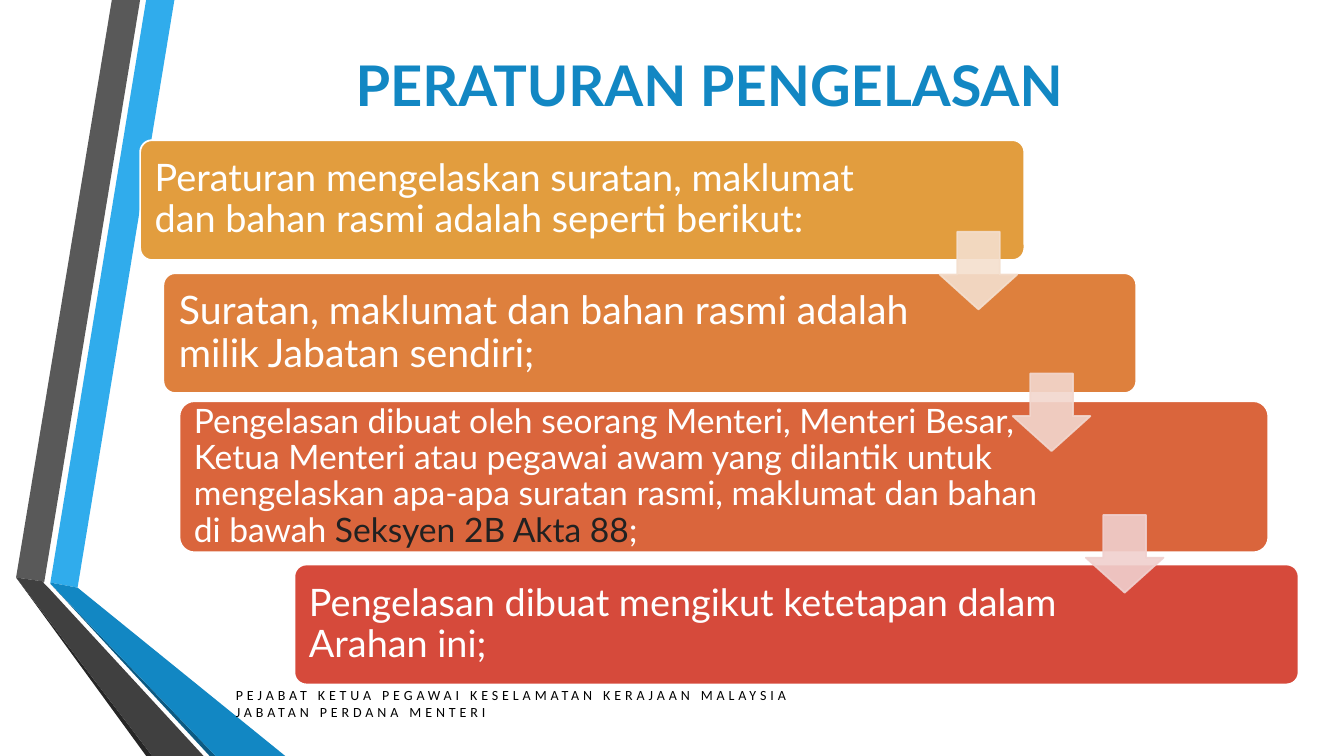
from dataclasses import dataclass

from lxml.etree import SubElement
from pptx import Presentation
from pptx.dml.color import RGBColor
from pptx.enum.shapes import MSO_SHAPE
from pptx.enum.text import MSO_ANCHOR, MSO_AUTO_SIZE, PP_ALIGN
from pptx.oxml.ns import qn
from pptx.util import Inches, Pt


@dataclass(frozen=True)
class Theme:
    """Colours, fonts and type sizes of the slide."""
    heading_font: str = "Lato"
    footer_font: str = "Calibri"
    accent: str = "1287C3"
    light: str = "FFFFFF"
    dark: str = "212121"
    black: str = "000000"
    title_size: int = 40
    footer_size: int = 10
    footer_tracking: float = 2.8
    outline: float = 1.25
    arrow_opacity: int = 90


class SlideBuilder:
    """Draws themed elements on one slide, measured in grid cells."""

    CELL = Inches(0.1)

    def __init__(self, slide, theme):
        """Keep the slide and the theme."""
        self.slide = slide
        self.theme = theme

    def cells(self, *counts):
        """Turn counts of columns or rows into lengths."""
        return [round(count * self.CELL) for count in counts]

    def style(self, run, font, size, color, bold=False):
        """Format one run."""
        run.font.name = font
        run.font.size = Pt(size)
        run.font.bold = bold
        run.font.color.rgb = RGBColor.from_string(color)

    def paint(self, shape, fill, line=None):
        """Set fill and outline and remove the shadow."""
        shape.shadow.inherit = False
        shape.fill.solid()
        shape.fill.fore_color.rgb = RGBColor.from_string(fill)
        if line is None:
            shape.line.fill.background()
        else:
            shape.line.color.rgb = RGBColor.from_string(line)
            shape.line.width = Pt(self.theme.outline)

    def ribbon(self, color, corners):
        """Draw one flat polygon of the side ribbons."""
        start, *others = [self.cells(*corner) for corner in corners]
        outline = self.slide.shapes.build_freeform(*start)
        outline.add_line_segments(others, close=True)
        self.paint(outline.convert_to_shape(), color)

    def title(self, text, area):
        """Fill the title placeholder."""
        title = self.slide.shapes.title
        title.left, title.top, title.width, title.height = self.cells(*area)
        frame = title.text_frame
        frame.text = text
        frame.auto_size = MSO_AUTO_SIZE.NONE
        frame.vertical_anchor = MSO_ANCHOR.MIDDLE
        heading = frame.paragraphs[0]
        heading.alignment = PP_ALIGN.CENTER
        self.style(heading.runs[0], self.theme.heading_font,
                   self.theme.title_size, self.theme.accent, bold=True)

    def step(self, color, area, reading_width, size, inset, pieces):
        """Draw a rounded bar whose text stops short of its right end."""
        bar = self.slide.shapes.add_shape(
            MSO_SHAPE.ROUNDED_RECTANGLE, *self.cells(*area))
        bar.adjustments[0] = 0.1
        self.paint(bar, color, self.theme.light)
        frame = bar.text_frame
        frame.word_wrap = True
        frame.vertical_anchor = MSO_ANCHOR.MIDDLE
        frame.margin_left, frame.margin_right = self.cells(
            inset, area[2] - reading_width - 0.7 + inset)
        frame.margin_top = frame.margin_bottom = 0
        rule = frame.paragraphs[0]
        rule.alignment = PP_ALIGN.LEFT
        rule.line_spacing = 0.9
        for text, ink in pieces:
            run = rule.add_run()
            run.text = text
            self.style(run, self.theme.heading_font, size, ink)

    def arrow(self, color, left, top, side):
        """Draw a translucent arrow that leads to the next bar."""
        arrow = self.slide.shapes.add_shape(
            MSO_SHAPE.DOWN_ARROW, *self.cells(left, top, side, side))
        arrow.adjustments[0] = 0.55
        arrow.adjustments[1] = 0.45
        self.paint(arrow, color, color)
        for tint in arrow._element.spPr.iter(qn("a:srgbClr")):
            SubElement(tint, qn("a:alpha"), val=str(self.theme.arrow_opacity * 1000))

    def footer(self, text, area):
        """Write the widely tracked office name."""
        office = self.slide.shapes.add_textbox(*self.cells(*area))
        frame = office.text_frame
        frame.word_wrap = True
        frame.text = text
        frame.auto_size = MSO_AUTO_SIZE.SHAPE_TO_FIT_TEXT
        for line in frame.paragraphs:
            for run in line.runs:
                self.style(run, self.theme.footer_font,
                           self.theme.footer_size, self.theme.black)
                run.font._element.set("spc", str(round(self.theme.footer_tracking * 100)))


def main():
    """Build the slide and save it."""
    deck = Presentation()
    deck.slide_width, deck.slide_height = Inches(13.33), Inches(7.5)
    theme = Theme()
    builder = SlideBuilder(deck.slides.add_slide(deck.slide_layouts[5]), theme)

    ribbons = [
        ("30ACEC", [(5, 57.8), (7.7, 58.3), (17.3, 0), (14.5, 0)]),
        ("595959", [(13.9, 0), (11.1, 0), (1.6, 57.3), (4.4, 57.7)]),
        ("262626", [(1.6, 57.3), (14.5, 75), (15.1, 75)]),
        ("0C5A82", [(5, 57.9), (20.8, 75), (21.4, 75)]),
        (theme.accent, [(5, 57.9), (21.4, 75), (28.3, 75), (7.7, 58.3), (5, 57.8)]),
        ("404040", [(20.2, 75), (4.8, 58.3), (4.3, 57.8), (4.4, 57.7),
                    (1.6, 57.3), (15.1, 75)]),
    ]
    for color, corners in ribbons:
        builder.ribbon(color, corners)

    builder.title("PERATURAN PENGELASAN ", (16.2, 3.1, 109.6, 10.5))

    steps = [
        ("E29D3E", (13.9, 13.9, 87.7, 11.9), 73.8, 27, 1.1,
         [("Peraturan mengelaskan suratan, maklumat dan bahan rasmi "
           "adalah seperti berikut:", theme.light)]),
        ("DE803D", (16.2, 27.1, 96.5, 11.9), 79.2, 28, 1.2,
         [("Suratan, maklumat dan bahan rasmi adalah milik Jabatan sendiri;",
           theme.light)]),
        ("DA653C", (17.8, 39.8, 108, 15), 88.7, 24, 1,
         [("Pengelasan dibuat oleh seorang Menteri, Menteri Besar, Ketua Menteri "
           "atau pegawai awam yang dilantik untuk mengelaskan apa-apa suratan "
           "rasmi, maklumat dan bahan di bawah ", theme.light),
          ("Seksyen 2B Akta 88", theme.dark),
          (";", theme.light)]),
        ("D64A3B", (29.2, 56, 99.6, 11.9), 81.8, 27, 1.1,
         [("Pengelasan dibuat mengikut ketetapan dalam Arahan ini;", theme.light)]),
    ]
    for step in steps:
        builder.step(*step)

    for index, color in enumerate(("F4DFCE", "F2D7CE", "F0D0CE")):
        builder.arrow(color, 93.2 + 7.25 * index, 23 + 14.05 * index, 7.7)

    builder.footer("PEJABAT KETUA PEGAWAI KESELAMATAN KERAJAAN MALAYSIA\n"
                   "JABATAN PERDANA MENTERI", (22.4, 67.6, 66.8, 4.4))
    deck.save("out.pptx")


if __name__ == "__main__":
    main()
